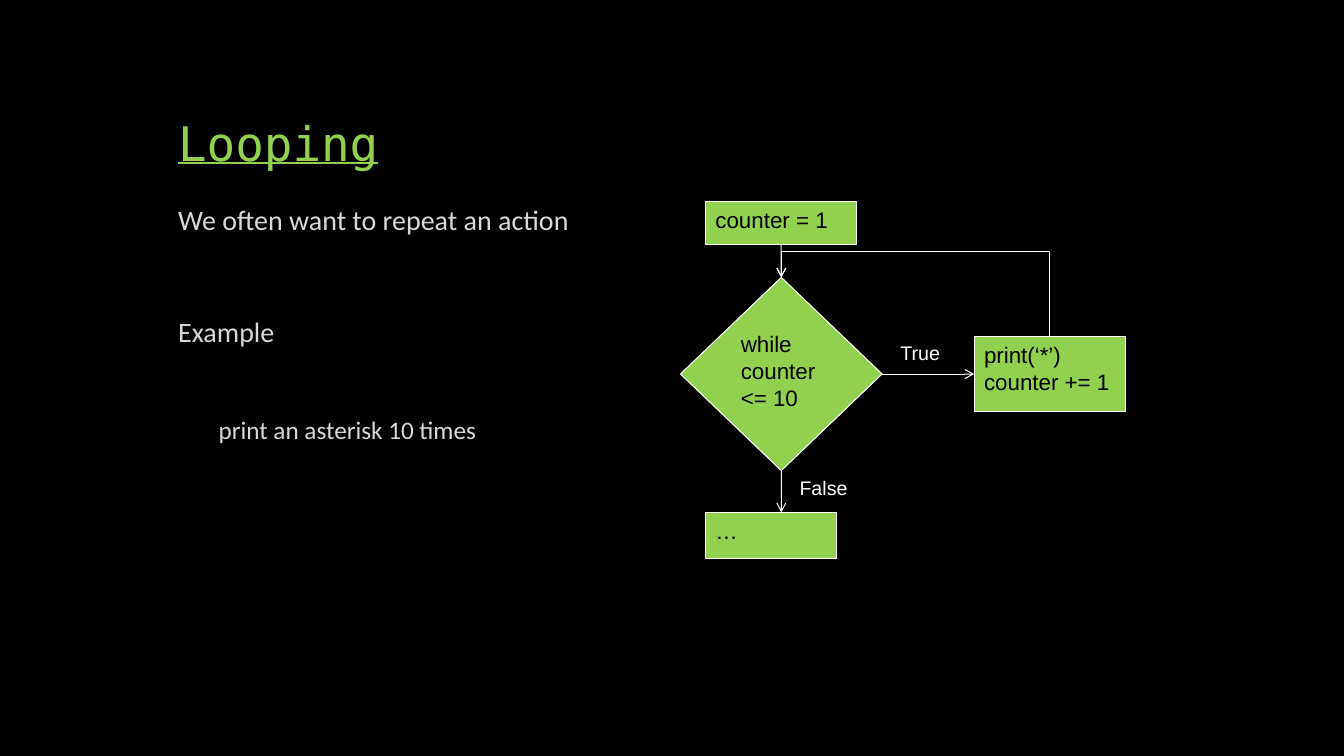
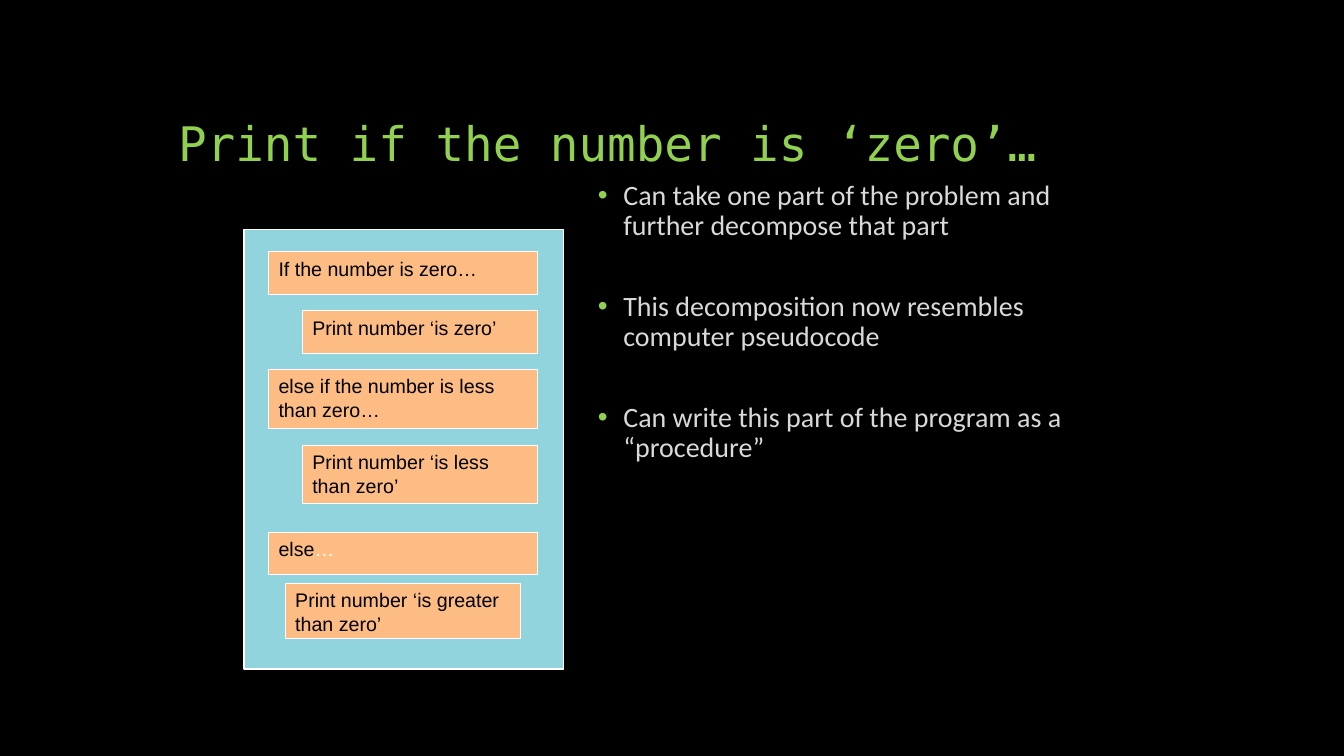
from pptx import Presentation
from pptx.dml.color import RGBColor
from pptx.enum.shapes import MSO_CONNECTOR, MSO_SHAPE
from pptx.enum.text import MSO_ANCHOR, MSO_AUTO_SIZE, PP_ALIGN
from pptx.oxml.ns import qn
from pptx.util import Cm, Pt
from lxml.etree import SubElement

BLACK = RGBColor(0x00, 0x00, 0x00)
WHITE = RGBColor(0xFF, 0xFF, 0xFF)
GREEN = RGBColor(0x92, 0xD0, 0x50)
GREY = RGBColor(0xD9, 0xD9, 0xD9)
TEAL = RGBColor(0x91, 0xD4, 0xDD)
PEACH = RGBColor(0xFC, 0xBC, 0x83)

HEAD = {"name": "DejaVu Sans Mono", "size": Pt(34), "color": GREEN}
BODY = {"name": "Calibri", "size": Pt(20), "color": GREY}
SUB = BODY | {"size": Pt(18)}
CODE = {"name": "Arial", "size": Pt(16), "color": BLACK}
STEP = CODE | {"size": Pt(14)}
LABEL = STEP | {"color": WHITE}

TIGHT = {"line_spacing": 0.9}
LIST = TIGHT | {"space_before": Pt(18), "space_after": Pt(18)}


def apply(item, values):
    for key, value in values.items():
        setattr(item, key, value)


class Deck:
    def __init__(self):
        self.show = Presentation()
        apply(self.show, {"slide_width": Cm(33.87), "slide_height": Cm(19.05)})
        fill = self.show.slide_master.background.fill
        fill.solid()
        fill.fore_color.rgb = BLACK

    def start(self, title, **extra):
        self.slide = self.show.slides.add_slide(self.show.slide_layouts[6])
        frame = self.text(4.24, 1.27, 25.4, 3.18)
        frame.vertical_anchor = MSO_ANCHOR.BOTTOM
        self.say(frame, [(title, HEAD | extra)], TIGHT)

    def text(self, *box):
        frame = self.slide.shapes.add_textbox(*map(Cm, box)).text_frame
        frame.word_wrap = True
        return frame

    def say(self, frame, runs, form=None, first=True):
        para = frame.paragraphs[0] if first else frame.add_paragraph()
        apply(para, {"alignment": PP_ALIGN.LEFT} | (form or {}))
        for words, style in runs:
            run = para.add_run()
            run.text = words
            style = dict(style)
            run.font.color.rgb = style.pop("color")
            apply(run.font, style)
        return para

    def indent(self, para, left, hang=0):
        props = para._p.get_or_add_pPr()
        props.set("marL", str(Cm(left)))
        props.set("indent", str(Cm(-hang)))
        return props

    def bullets(self, box, items):
        frame = self.text(*box)
        for index, words in enumerate(items):
            para = self.say(frame, [(words, BODY)], LIST, index == 0)
            props = self.indent(para, 0.64, 0.64)
            tint = SubElement(props, qn("a:buClr"))
            SubElement(tint, qn("a:srgbClr"), val=str(GREEN))
            SubElement(props, qn("a:buFont"), typeface="Arial")
            SubElement(props, qn("a:buChar"), char="•")

    def label(self, words, *box):
        frame = self.text(*box)
        apply(frame, {"word_wrap": False, "auto_size": MSO_AUTO_SIZE.SHAPE_TO_FIT_TEXT})
        self.say(frame, [(words, LABEL)])

    def block(self, kind, box, fill, *lines):
        shape = self.slide.shapes.add_shape(kind, *map(Cm, box))
        shape.shadow.inherit = False
        shape.fill.solid()
        shape.fill.fore_color.rgb = fill
        shape.line.color.rgb = WHITE
        shape.line.width = Pt(0.75)
        apply(shape.text_frame, {"word_wrap": True, "vertical_anchor": MSO_ANCHOR.TOP})
        for index, runs in enumerate(lines):
            self.say(shape.text_frame, runs, first=index == 0)
        return shape

    def arrow(self, *ends, kind=MSO_CONNECTOR.STRAIGHT):
        link = self.slide.shapes.add_connector(kind, *map(Cm, ends))
        link.line.color.rgb = WHITE
        link.line.width = Pt(0.75)
        props = link._element.spPr
        SubElement(props.find(qn("a:ln")), qn("a:tailEnd"), type="arrow")
        SubElement(props, qn("a:effectLst"))
        return link

    def loop(self, x1, y1, x2, y2, peak):
        mid, level = (x1 + x2) / 2, (y1 + y2) / 2
        wide, high = (x1 - x2) / 2, (y1 - y2) / 2
        link = self.arrow(mid - high, level + wide, mid + high, level - wide,
                          kind=MSO_CONNECTOR.ELBOW)
        props = link._element.spPr
        props.find(qn("a:xfrm")).set("rot", str(270 * 60000))
        shape = props.find(qn("a:prstGeom"))
        guides = shape.find(qn("a:avLst"))
        if guides is None:
            guides = SubElement(shape, qn("a:avLst"))
        bend = round((y1 - peak) / (y1 - y2) * 100000)
        SubElement(guides, qn("a:gd"), name="adj1", fmla=f"val {bend}")


def looping(deck):
    deck.start("Looping", underline=True)
    frame = deck.text(4.24, 5.08, 12.07, 11.86)
    deck.say(frame, [("We often want to repeat an action", BODY)], TIGHT)
    deck.say(frame, [("Example", BODY)], TIGHT | {"space_before": Pt(58)}, False)
    para = deck.say(frame, [("print an asterisk 10 times", SUB)],
                    TIGHT | {"space_before": Pt(50)}, False)
    deck.indent(para, 1.02)

    task = MSO_SHAPE.FLOWCHART_PROCESS
    axis, mid = 19.69, 9.42
    init = deck.block(task, (17.78, 5.08, 3.81, 1.07), GREEN, [("counter = 1", CODE)])
    test = deck.block(MSO_SHAPE.FLOWCHART_DECISION, (17.15, 6.99, 5.08, 4.87), GREEN,
                      [("while counter <= 10", CODE)])
    work = deck.block(task, (24.55, 8.47, 3.81, 1.91), GREEN,
                      [("print(‘*’)", CODE)], [("counter += 1", CODE)])
    deck.block(task, (17.78, 12.91, 3.3, 1.17), GREEN, [("…", CODE)])

    enter = deck.arrow(axis, 6.15, axis, 6.99)
    enter.begin_connect(init, 2)
    enter.end_connect(test, 0)
    true = deck.arrow(22.23, mid, 24.55, mid)
    true.begin_connect(test, 3)
    true.end_connect(work, 1)
    deck.arrow(axis, 11.86, axis, 12.91).begin_connect(test, 2)
    deck.loop(26.46, 8.47, axis, 6.99, 6.35)
    deck.label("True", 22.44, 8.47, 1.52, 0.86)
    deck.label("False", 19.9, 11.86, 1.73, 0.86)


def number(deck):
    deck.start("Print if the number is ‘zero’…")
    deck.bullets((14.82, 4.45, 13.55, 12.57), [
        "Can take one part of the problem and further decompose that part",
        "This decomposition now resembles computer pseudocode",
        "Can write this part of the program as a “procedure”",
    ])
    deck.block(MSO_SHAPE.RECTANGLE, (6.15, 5.79, 8.05, 11.07), TEAL)
    left, wide, slim = 6.77, 6.78, 5.93
    steps = [
        (0, 6.35, wide, 1.07, [("If the number is zero…", STEP)]),
        (0.85, 7.83, slim, 1.07, [("Print number ‘is zero’", STEP)]),
        (0, 9.31, wide, 1.48, [("else if the number is less than zero…", STEP)]),
        (0.85, 11.22, slim, 1.48, [("Print number ‘is less than zero’", STEP)]),
        (0, 13.41, wide, 1.07, [("else", STEP), ("…", LABEL)]),
        (0.42, 14.7, slim, 1.4, [("Print number ‘is greater than zero’", STEP)]),
    ]
    for shift, top, width, height, runs in steps:
        deck.block(MSO_SHAPE.RECTANGLE, (left + shift, top, width, height), PEACH, runs)


def main():
    deck = Deck()
    looping(deck)
    number(deck)
    deck.show.save("out.pptx")


if __name__ == "__main__":
    main()
